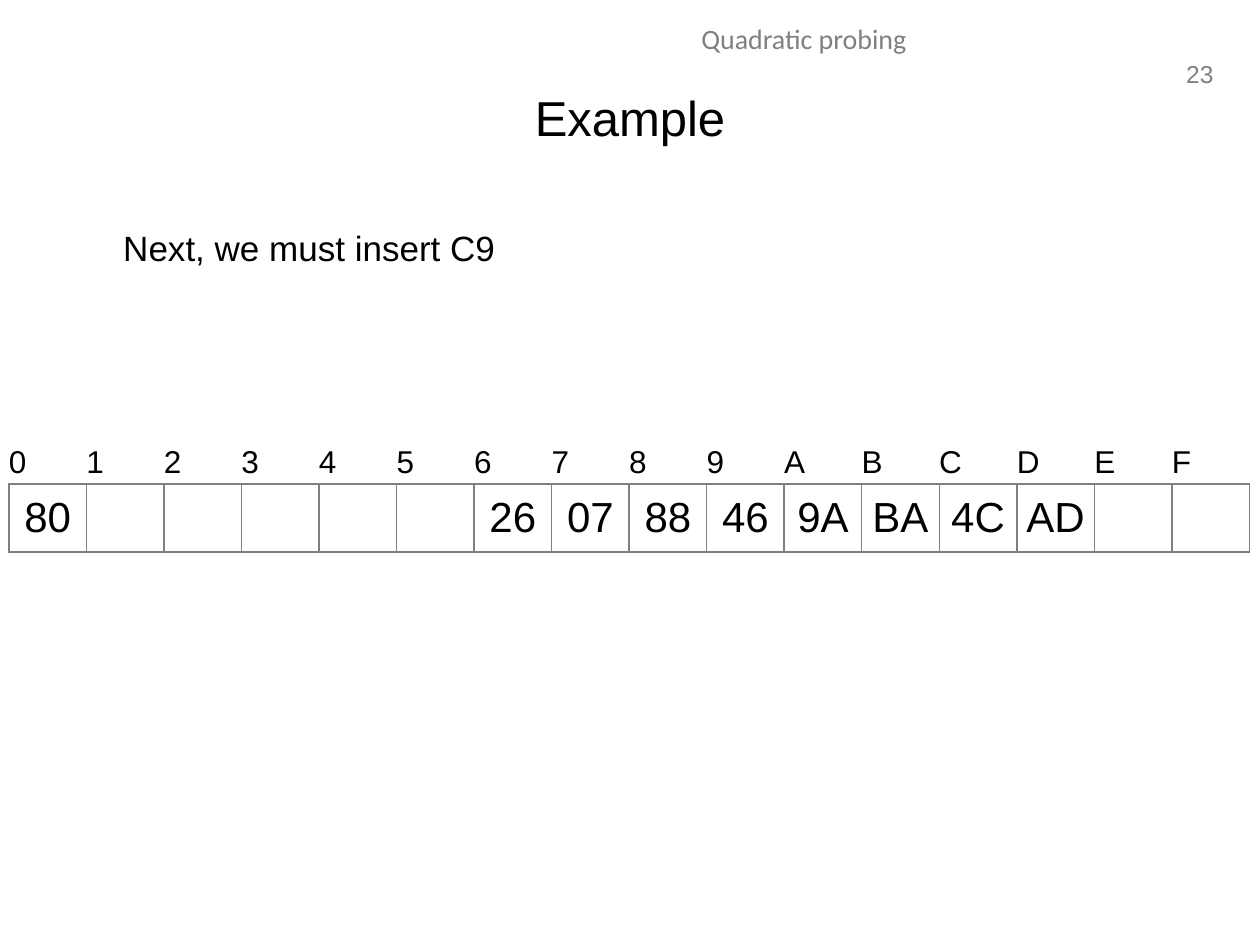
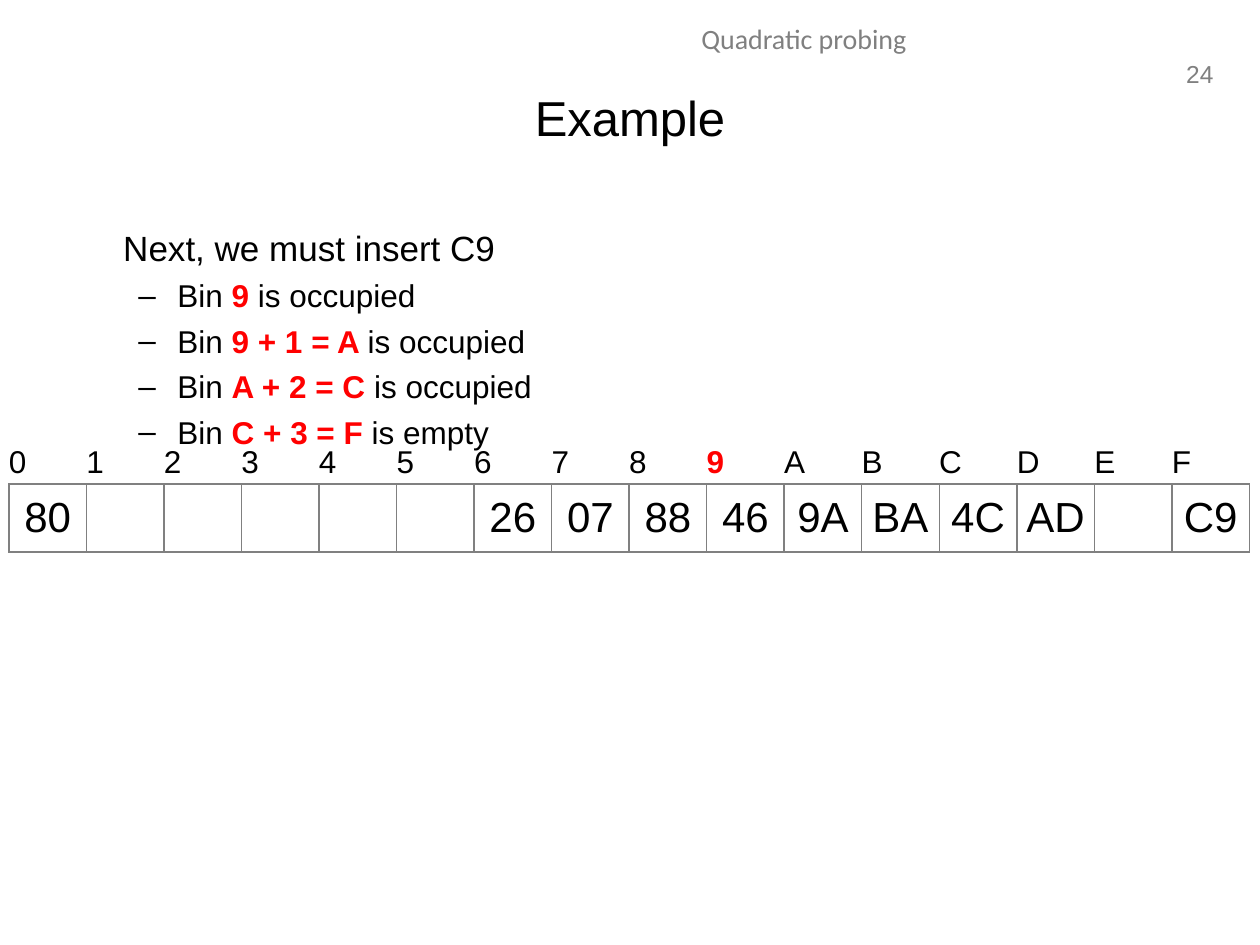
from pptx import Presentation
from pptx.dml.color import RGBColor
from pptx.enum.text import MSO_ANCHOR, PP_ALIGN
from pptx.oxml.ns import qn
from pptx.util import Inches, Pt
from lxml.etree import SubElement

BLACK = RGBColor(0x00, 0x00, 0x00)
GRAY = RGBColor(0x80, 0x80, 0x80)
RED = RGBColor(0xFF, 0x00, 0x00)

BINS = "0123456789ABCDEF"
HASHED = {"0": "80", "6": "26", "7": "07", "8": "88", "9": "46",
          "A": "9A", "B": "BA", "C": "4C", "D": "AD"}
INSERTION = "Next, we must insert C9"
PROBES = [("9 ", "is occupied"), ("9 + 1 = A ", "is occupied"),
          ("A + 2 = C ", "is occupied"), ("C + 3 = F ", "is empty")]
PLAIN_TABLE = "{2D5ABB26-0587-4C30-8999-92F81FD0307C}"


class Deck:
    """Style of the lecture and the slide being filled."""

    def __init__(self):
        self.prs = Presentation()
        self.prs.slide_width = Inches(10)
        self.prs.slide_height = Inches(7.5)
        self.slide = None

    def style(self, font, size, color=BLACK, bold=False, name="Arial"):
        font.name, font.size, font.bold = name, Pt(size), bold
        font.color.rgb = color

    def text(self, left, top, width, height, words, size, color=BLACK,
             align=PP_ALIGN.LEFT, name="Arial", anchor=MSO_ANCHOR.TOP, wrap=True):
        box = self.slide.shapes.add_textbox(
            Inches(left), Inches(top), Inches(width), Inches(height))
        frame = box.text_frame
        frame.text = words
        frame.word_wrap = wrap
        frame.vertical_anchor = anchor
        line = frame.paragraphs[0]
        line.alignment = align
        self.style(line.runs[0].font, size, color, name=name)
        return frame

    def new_slide(self, number):
        self.slide = self.prs.slides.add_slide(self.prs.slide_layouts[6])
        # Running header, page number and title
        self.text(9.29, 0.42, 0.44, 0.33, str(number), 14, GRAY,
                  PP_ALIGN.RIGHT, wrap=False)
        self.text(3.19, 0.12, 6.38, 0.4, "Quadratic probing", 16, GRAY,
                  PP_ALIGN.CENTER, name="Calibri")
        self.text(0.5, 0.3, 9, 1.25, "Example", 28, align=PP_ALIGN.CENTER,
                  anchor=MSO_ANCHOR.MIDDLE)

    def indent(self, paragraph, margin, hanging=0):
        props = paragraph._p.get_or_add_pPr()
        props.set("marL", str(Inches(margin)))
        props.set("indent", str(-Inches(hanging)))
        return props

    def body(self, statement, probes):
        frame = self.text(0.5, 1.75, 9, 4.95, statement, 20)
        self.indent(frame.paragraphs[0], 0.38)
        for probe, outcome in probes:
            step = frame.add_paragraph()
            step.level = 1
            step.space_before = Pt(4.4)
            props = self.indent(step, 0.81, 0.31)
            SubElement(props, qn("a:buFont"), typeface="Arial")
            SubElement(props, qn("a:buChar"), char="–")
            for words, color in (("Bin ", BLACK), (probe, RED), (outcome, BLACK)):
                run = step.add_run()
                run.text = words
                self.style(run.font, 18, color, bold=color == RED)

    def border(self, cell, sides):
        props = cell._tc.get_or_add_tcPr()
        for place, side in enumerate(sides):
            line = SubElement(props, qn(f"a:ln{side}"), w=str(Pt(1)))
            fill = SubElement(line, qn("a:solidFill"))
            SubElement(fill, qn("a:srgbClr"), val=str(GRAY))
            props.insert(place, line)

    def cell(self, cell, words, size, align, sides, color=BLACK):
        cell.margin_left = cell.margin_right = 0
        cell.margin_top = cell.margin_bottom = 0
        cell.vertical_anchor = MSO_ANCHOR.MIDDLE
        cell.fill.background()
        self.border(cell, sides)
        cell.text = words
        line = cell.text_frame.paragraphs[0]
        line.alignment = align
        for run in line.runs:
            self.style(run.font, size, color, bold=color == RED)

    def hash_table(self, entries, home_bin=None):
        frame = self.slide.shapes.add_table(
            2, len(BINS), Inches(0.07), Inches(3.51), Inches(9.85), Inches(0.87))
        table = frame.table
        table.first_row = table.horz_banding = False
        table._tbl.tblPr.find(qn("a:tableStyleId")).text = PLAIN_TABLE
        table.rows[0].height, table.rows[1].height = Inches(0.33), Inches(0.54)
        for column, label in enumerate(BINS):
            table.columns[column].width = Inches(9.85 / len(BINS))
            self.cell(table.cell(0, column), label, 18, PP_ALIGN.LEFT, "B",
                      RED if label == home_bin else BLACK)
            self.cell(table.cell(1, column), entries.get(label, ""), 24,
                      PP_ALIGN.CENTER, "LRTB")


def main():
    deck = Deck()

    # Before the insertion
    deck.new_slide(23)
    deck.body(INSERTION, [])
    deck.hash_table(HASHED)

    # Probing until an empty bin is found
    deck.new_slide(24)
    deck.body(INSERTION, PROBES)
    deck.hash_table({**HASHED, "F": "C9"}, home_bin="9")

    deck.prs.save("out.pptx")


if __name__ == "__main__":
    main()
